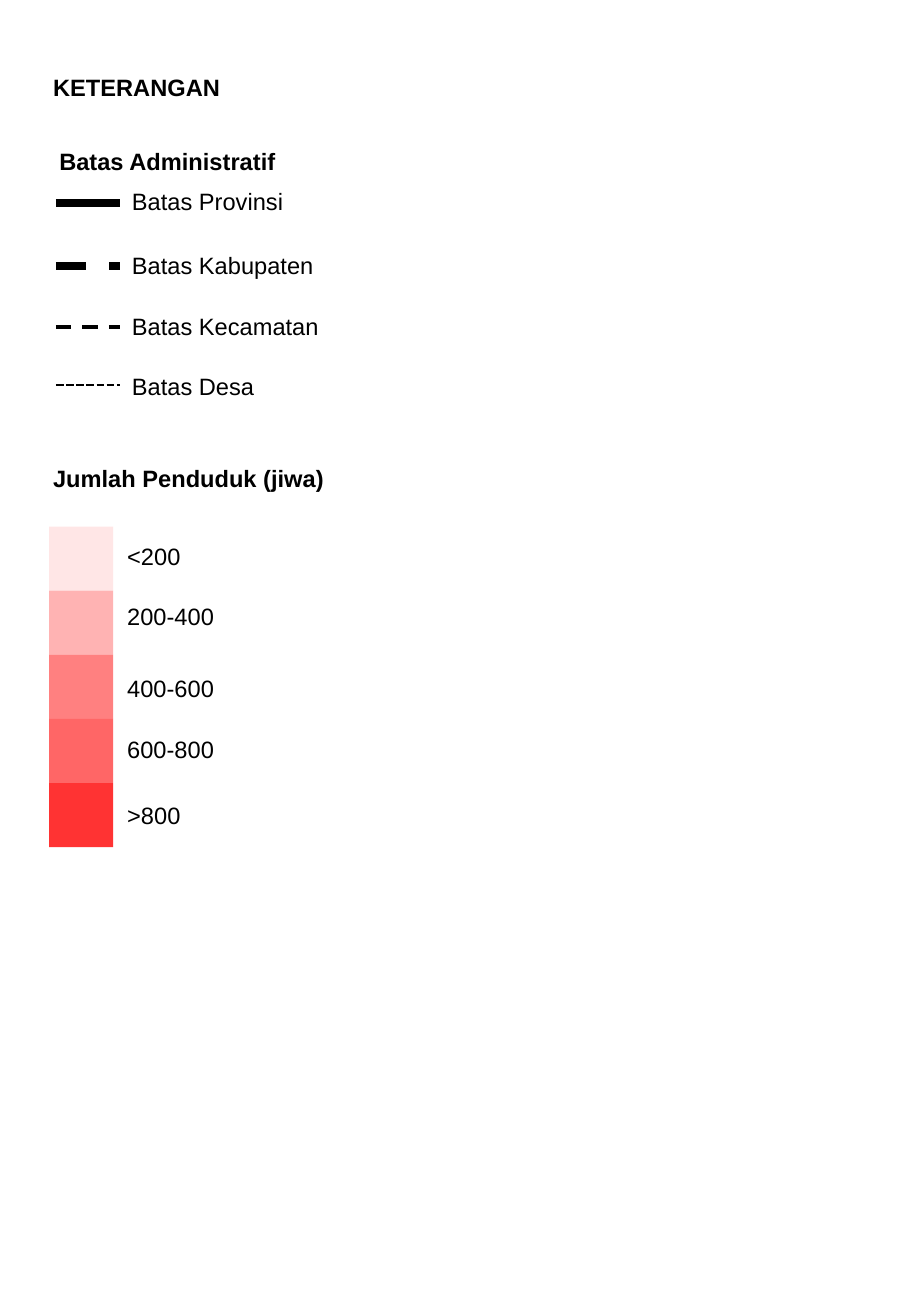
from dataclasses import dataclass
from typing import Optional

from pptx import Presentation
from pptx.dml.color import RGBColor
from pptx.enum.dml import MSO_LINE
from pptx.enum.shapes import MSO_CONNECTOR, MSO_SHAPE
from pptx.enum.text import MSO_AUTO_SIZE
from pptx.oxml.ns import qn
from pptx.util import Cm, Pt
from lxml import etree

RECTANGLE = MSO_SHAPE.RECTANGLE
STRAIGHT = MSO_CONNECTOR.STRAIGHT
FIT_TEXT = MSO_AUTO_SIZE.SHAPE_TO_FIT_TEXT
DASH = MSO_LINE.DASH
SHORT_DASH = MSO_LINE.SQUARE_DOT


@dataclass(frozen=True)
class Theme:
    font: str = "Arial"
    size: int = 14
    ink: str = "000000"
    paper: str = "FFFFFF"
    reds: tuple[str, ...] = ("FFE6E6", "FFB3B3", "FF8080", "FF6666", "FF3333")


@dataclass(frozen=True)
class Label:
    text: str
    left: float
    top: float
    width: float
    bold: bool = False


@dataclass(frozen=True)
class Boundary:
    name: str
    label_top: float
    line_y: float
    weight: float
    dash: Optional[MSO_LINE] = None


@dataclass(frozen=True)
class PopulationClass:
    name: str
    label_top: float


THEME = Theme()

# Lengths in centimetres
SLIDE_WIDTH, SLIDE_HEIGHT = 19.05, 27.51
LABEL_HEIGHT = 0.86
LINE_LEFT, LINE_RIGHT = 1.17, 2.51
BOUNDARY_LABEL_WIDTH = 5.38
SWATCH_LEFT, SWATCH_TOP, SWATCH_SIZE = 1.03, 11.01, 1.34
CLASS_LABEL_LEFT, CLASS_LABEL_WIDTH = 2.41, 4.75

HEADINGS = (
    Label("KETERANGAN", 0.86, 1.4, 6.78, True),
    Label("Batas Administratif", 0.99, 2.95, 6.78, True),
    Label("Jumlah Penduduk (jiwa)", 0.86, 9.58, 7.42, True),
)
BOUNDARIES = (
    Boundary("Batas Provinsi", 3.78, 4.24, 4.5),
    Boundary("Batas Kabupaten", 5.13, 5.56, 4.5, DASH),
    Boundary("Batas Kecamatan", 6.4, 6.83, 2.25, DASH),
    Boundary("Batas Desa", 7.65, 8.05, 1.5, SHORT_DASH),
)
CLASSES = (
    PopulationClass("<200", 11.2),
    PopulationClass("200-400", 12.45),
    PopulationClass("400-600", 13.97),
    PopulationClass("600-800", 15.24),
    PopulationClass(">800", 16.61),
)


def add_label(shapes, label: Label) -> None:
    box = shapes.add_textbox(
        Cm(label.left), Cm(label.top), Cm(label.width), Cm(LABEL_HEIGHT)
    )
    frame = box.text_frame
    frame.word_wrap = True
    frame.auto_size = FIT_TEXT
    run = frame.paragraphs[0].add_run()
    run.text = label.text
    font_format = {"name": THEME.font, "size": Pt(THEME.size), "bold": label.bold}
    for attribute, value in font_format.items():
        setattr(run.font, attribute, value)
    run.font.color.rgb = RGBColor.from_string(THEME.ink)


def add_boundary_line(shapes, boundary: Boundary) -> None:
    y = Cm(boundary.line_y)
    connector = shapes.add_connector(STRAIGHT, Cm(LINE_LEFT), y, Cm(LINE_RIGHT), y)
    line_format = {"width": Pt(boundary.weight), "dash_style": boundary.dash}
    for attribute, value in line_format.items():
        setattr(connector.line, attribute, value)
    connector.line.color.rgb = RGBColor.from_string(THEME.ink)
    etree.SubElement(connector._element.spPr, qn("a:effectLst"))


def add_swatch(shapes, index: int, color: str) -> None:
    top = SWATCH_TOP + index * SWATCH_SIZE
    swatch = shapes.add_shape(
        RECTANGLE, Cm(SWATCH_LEFT), Cm(top), Cm(SWATCH_SIZE), Cm(SWATCH_SIZE)
    )
    swatch.shadow.inherit = False
    swatch.fill.solid()
    swatch.fill.fore_color.rgb = RGBColor.from_string(color)
    swatch.line.fill.background()


def main() -> None:
    presentation = Presentation()
    presentation.slide_width = Cm(SLIDE_WIDTH)
    presentation.slide_height = Cm(SLIDE_HEIGHT)
    slide = presentation.slides.add_slide(presentation.slide_layouts[6])
    background = slide.background.fill
    background.solid()
    background.fore_color.rgb = RGBColor.from_string(THEME.paper)

    # Headings
    for heading in HEADINGS:
        add_label(slide.shapes, heading)

    # Population classes
    for index, color in enumerate(THEME.reds):
        add_swatch(slide.shapes, index, color)
    for population in CLASSES:
        add_label(slide.shapes, Label(
            population.name, CLASS_LABEL_LEFT, population.label_top, CLASS_LABEL_WIDTH
        ))

    # Administrative boundaries
    boundary_group = slide.shapes.add_group_shape()
    for boundary in BOUNDARIES:
        add_label(boundary_group.shapes, Label(
            boundary.name, LINE_RIGHT, boundary.label_top, BOUNDARY_LABEL_WIDTH
        ))
        add_boundary_line(boundary_group.shapes, boundary)

    presentation.save("out.pptx")


if __name__ == "__main__":
    main()
